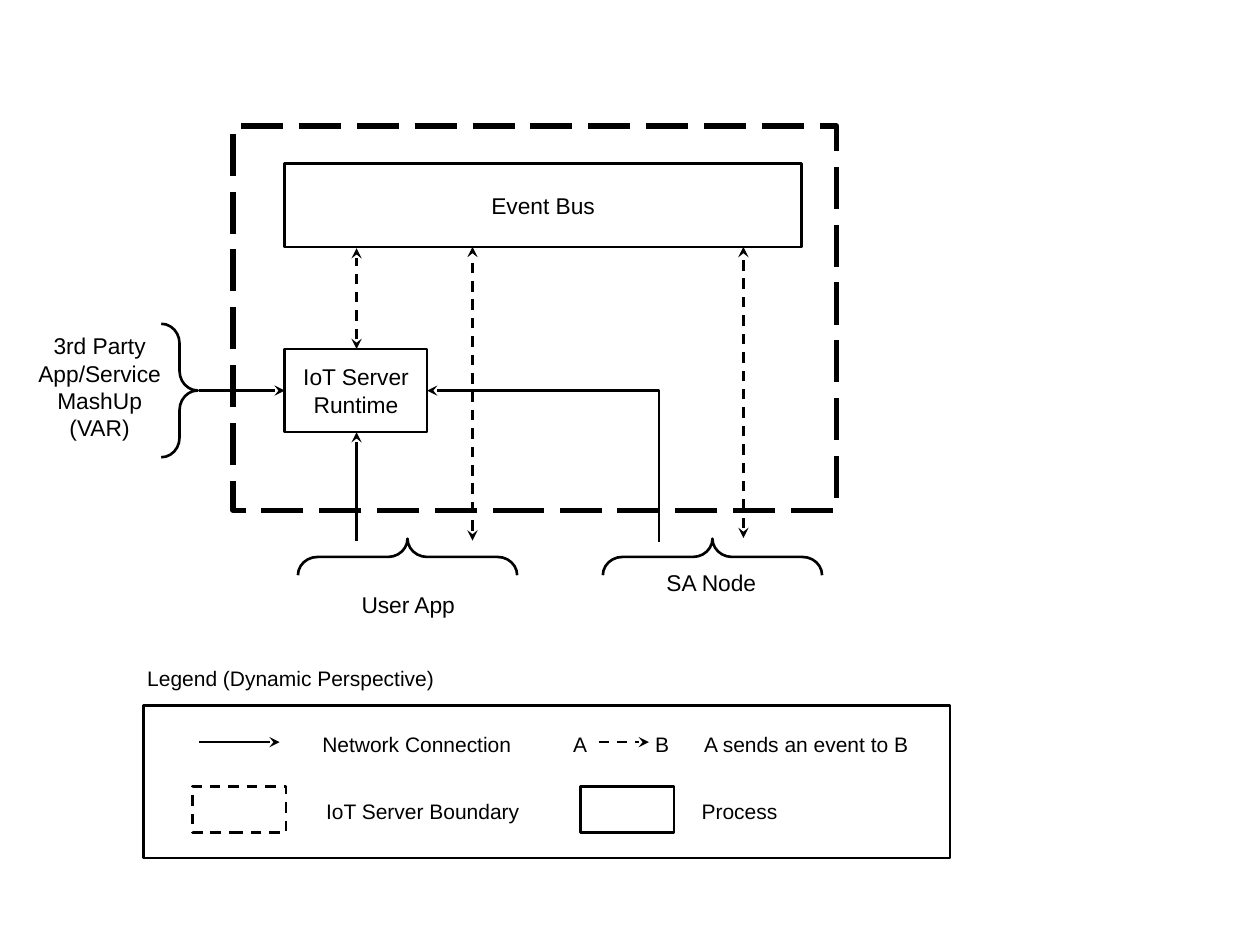
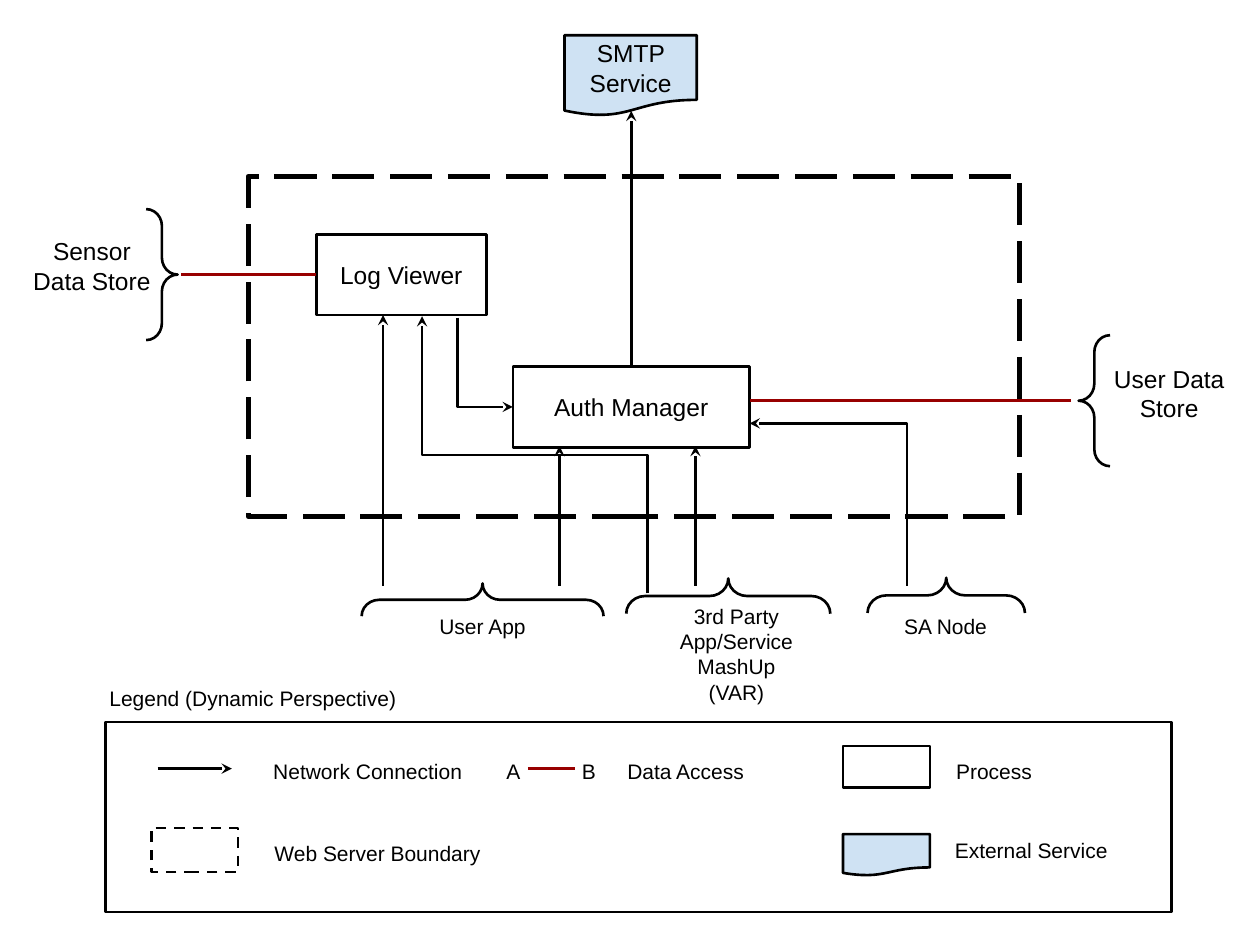
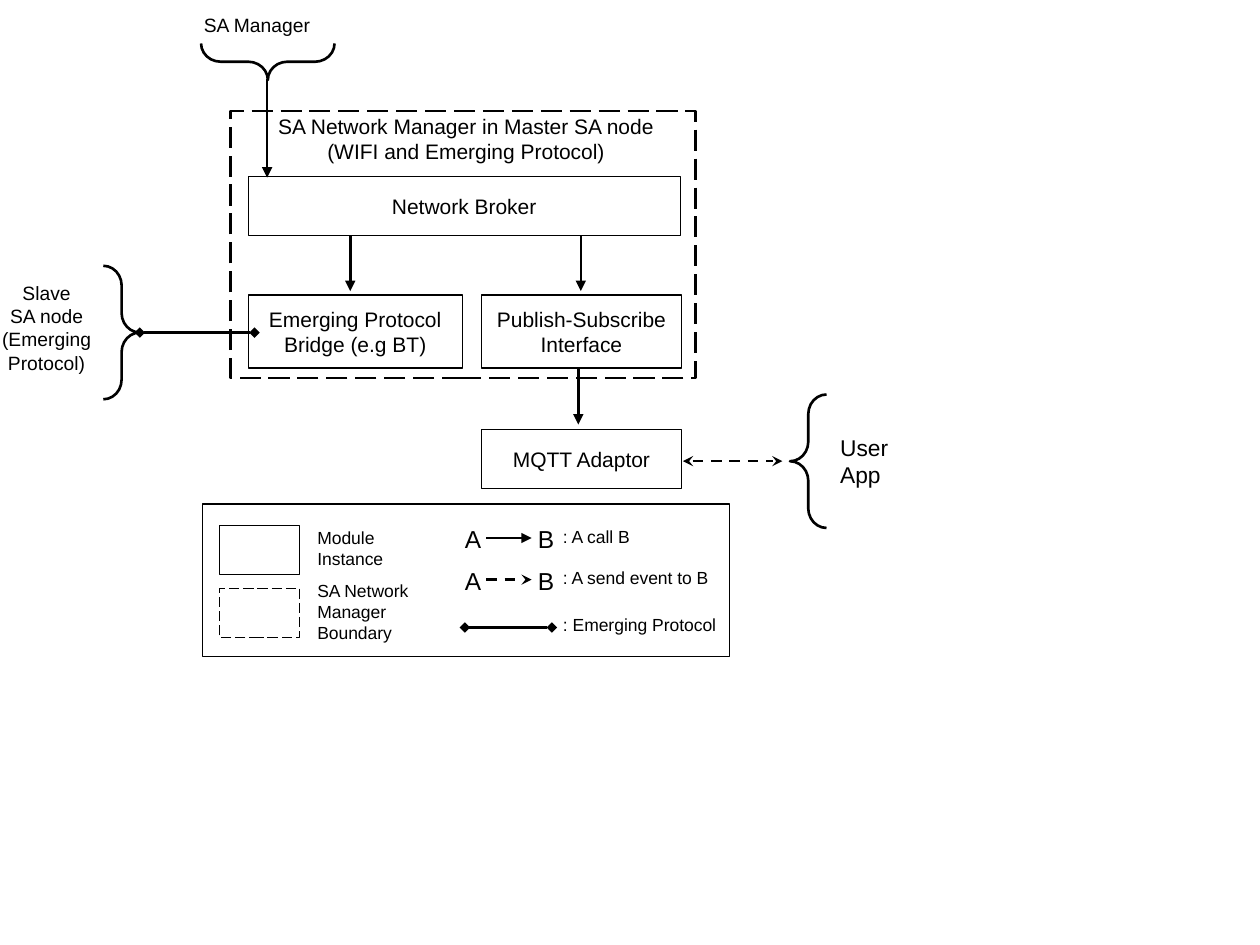
from lxml import etree
from pptx import Presentation
from pptx import util as u
from pptx.dml.color import RGBColor
from pptx.enum import dml, shapes, text
from pptx.oxml.ns import qn

BLACK = RGBColor(0x00, 0x00, 0x00)
WHITE = RGBColor(0xFF, 0xFF, 0xFF)
RED = RGBColor(0x98, 0x00, 0x00)
PALE_BLUE = RGBColor(0xCF, 0xE2, 0xF3)
FONT = "Arial"
DASH, LONG_DASH = dml.MSO_LINE.DASH, dml.MSO_LINE.LONG_DASH
LEFT, CENTER = text.PP_ALIGN.LEFT, text.PP_ALIGN.CENTER
RECTANGLE = shapes.MSO_SHAPE.RECTANGLE
DOCUMENT = shapes.MSO_SHAPE.FLOWCHART_DOCUMENT
RIGHT_BRACE = shapes.MSO_SHAPE.RIGHT_BRACE
FRAME_FORMAT = {"word_wrap": True, "margin_left": u.Inches(0.1), "margin_right": u.Inches(0.1),
                "margin_top": u.Inches(0.1), "margin_bottom": u.Inches(0.1)}

# Link styles: colour, dash, head at start, head at end
LINKS = {
    "network": (BLACK, None, None, "stealth"),
    "event": (BLACK, DASH, None, "stealth"),
    "events": (BLACK, DASH, "stealth", "stealth"),
    "data": (RED, None, None, None),
    "call": (BLACK, None, None, "triangle"),
    "protocol": (BLACK, None, "diamond", "diamond"),
}
# Box styles: preset, fill, line width, dash
BOXES = {
    "process": (RECTANGLE, WHITE, 1.5, None),
    "module": (RECTANGLE, WHITE, 0.75, None),
    "service": (DOCUMENT, PALE_BLUE, 1.5, None),
    "label": (RECTANGLE, WHITE, None, None),
    "server boundary": (RECTANGLE, None, 3, LONG_DASH),
    "manager boundary": (RECTANGLE, None, 1.5, LONG_DASH),
    "boundary key": (RECTANGLE, WHITE, 1.5, DASH),
    "manager key": (RECTANGLE, WHITE, 0.75, LONG_DASH),
    "legend": (RECTANGLE, None, 1.5, None),
    "thin legend": (RECTANGLE, None, 0.75, None),
}

# boxes: style, area, words, size, alignment
# braces: area before turning, rotation
# links: style, start, end; elbows: bends, start, end
# notes: words, area, size, alignment
THIRD_PARTY = "3rd Party App/Service MashUp\v(VAR)"
LEGEND = "Legend (Dynamic Perspective)"

IOT_SERVER = {
    "boxes": [
        ("legend", (1.14, 5.6, 6.4, 1.21)),
        ("server boundary", (1.85, 1, 4.79, 3.05)),
        ("label", (5.08, 4.29, 1.13, 0.66), "SA Node", 13),
        ("label", (2.26, 4.47, 1.96, 0.66), "User App", 13),
        ("label", (0.18, 2.58, 1.22, 0.98), THIRD_PARTY, 13),
        ("process", (2.26, 1.3, 4.1, 0.66), "Event Bus", 13),
        ("process", (2.26, 2.77, 1.13, 0.66), "IoT Server Runtime", 13),
        ("process", (4.61, 6.24, 0.74, 0.37)),
        ("boundary key", (1.53, 6.24, 0.74, 0.37)),
    ],
    "braces": [
        ((1.28, 2.57, 0.29, 1.06), 0),
        ((3.09, 3.55, 0.29, 1.74), 270),
        ((5.51, 3.55, 0.29, 1.74), 270),
    ],
    "links": [
        ("events", (5.9, 4.27), (5.9, 1.96)),
        ("events", (2.83, 2.77), (2.83, 1.97)),
        ("events", (3.75, 4.29), (3.75, 1.96)),
        ("network", (2.83, 4.29), (2.83, 3.43)),
        ("network", (1.58, 3.1), (2.26, 3.1)),
        ("network", (1.58, 5.89), (2.22, 5.89)),
        ("event", (4.75, 5.89), (5.15, 5.89)),
    ],
    "elbows": [(1, (5.23, 4.3), (3.39, 3.1))],
    "notes": [
        (LEGEND, (1.07, 5.18, 2.78, 0.29)),
        ("Network Connection", (2.46, 5.71, 1.99, 0.37)),
        ("A", (4.45, 5.71, 0.29, 0.37)),
        ("B", (5.1, 5.71, 0.29, 0.37)),
        ("A sends an event to B", (5.49, 5.71, 1.99, 0.37)),
        ("IoT Server Boundary", (2.49, 6.24, 1.99, 0.37)),
        ("Process", (5.47, 6.24, 2.08, 0.37)),
    ],
}

WEB_SERVER = {
    "boxes": [
        ("legend", (0.84, 5.73, 8.46, 1.51)),
        ("server boundary", (1.97, 1.4, 6.12, 2.7)),
        ("label", (2.66, 4.65, 2.34, 0.64), "User App", 12),
        ("label", (5.28, 4.81, 1.13, 0.76), THIRD_PARTY, 12),
        ("label", (6.98, 4.65, 1.05, 0.64), "SA Node", 12),
        ("label", (0.16, 1.79, 1.14, 0.64), "Sensor Data Store", 14),
        ("label", (8.71, 2.8, 1.14, 0.64), "User Data Store", 14),
        ("process", (4.07, 2.91, 1.88, 0.64), "Auth Manager", 14),
        ("process", (2.51, 1.86, 1.35, 0.64), "Log Viewer", 14),
        ("service", (4.48, 0.28, 1.05, 0.64), "SMTP Service", 14),
        ("process", (6.69, 5.92, 0.69, 0.33)),
        ("service", (6.69, 6.62, 0.69, 0.33)),
        ("boundary key", (1.2, 6.57, 0.69, 0.35)),
    ],
    "braces": [
        ((3.7, 3.8, 0.26, 1.92), 270),
        ((5.64, 3.92, 0.28, 1.62), 270),
        ((7.37, 4.1, 0.28, 1.25), 270),
        ((1.16, 1.66, 0.25, 1.04), 0),
        ((8.56, 2.66, 0.25, 1.04), 180),
    ],
    "links": [
        ("network", (4.44, 4.65), (4.44, 3.54)),
        ("network", (3.04, 4.65), (3.04, 2.5)),
        ("network", (5.52, 4.65), (5.52, 3.54)),
        ("network", (5.01, 2.91), (5.01, 0.88)),
        ("network", (1.25, 6.1), (1.84, 6.1)),
        ("data", (2.51, 2.18), (1.44, 2.18)),
        ("data", (8.5, 3.18), (5.95, 3.18)),
        ("data", (4.19, 6.1), (4.56, 6.1)),
    ],
    "elbows": [
        (1, (7.2, 4.65), (5.95, 3.36)),
        (2, (5.14, 4.71), (3.35, 2.51)),
        (1, (3.63, 2.52), (4.07, 3.23)),
    ],
    "notes": [
        (LEGEND, (0.77, 5.34, 2.58, 0.28)),
        ("Network Connection", (2.07, 5.92, 1.85, 0.35)),
        ("A", (3.92, 5.92, 0.27, 0.35)),
        ("B", (4.52, 5.92, 0.27, 0.35)),
        ("Data Access", (4.88, 5.92, 1.85, 0.35)),
        ("Process", (7.49, 5.92, 0.84, 0.35)),
        ("Web Server Boundary", (2.08, 6.57, 1.85, 0.35)),
        ("External Service", (7.48, 6.55, 1.47, 0.35)),
    ],
}

NETWORK_MANAGER = {
    "boxes": [
        ("thin legend", (1.61, 4, 4.18, 1.21)),
        ("manager boundary", (1.83, 0.88, 3.69, 2.12)),
        ("label", (-0.12, 2.14, 0.98, 0.92), "Slave\nSA node\n(Emerging Protocol)", 11),
        ("label", (6.57, 3.2, 0.64, 0.92), "User App", 13, LEFT),
        ("label", (1.52, 0.05, 1.2, 0.29), "SA Manager", 11, LEFT),
        ("module", (1.97, 1.4, 3.43, 0.47), "Network Broker", 12),
        ("module", (1.97, 2.34, 1.7, 0.58), "Emerging Protocol\nBridge (e.g BT)", 12),
        ("module", (3.82, 2.34, 1.59, 0.58), "Publish-Subscribe\nInterface", 12),
        ("module", (3.82, 3.41, 1.59, 0.47), "MQTT Adaptor", 12),
        ("module", (1.74, 4.17, 0.64, 0.39)),
        ("manager key", (1.74, 4.67, 0.64, 0.39)),
    ],
    "braces": [
        ((0.82, 2.11, 0.29, 1.06), 0),
        ((6.27, 3.13, 0.29, 1.06), 180),
        ((1.98, -0.04, 0.29, 1.06), 90),
    ],
    "links": [
        ("call", (2.12, 0.63), (2.12, 1.41)),
        ("call", (2.78, 1.87), (2.78, 2.31)),
        ("call", (4.61, 1.87), (4.61, 2.31)),
        ("call", (4.59, 2.93), (4.59, 3.37)),
        ("call", (3.86, 4.27), (4.22, 4.27)),
        ("event", (3.86, 4.6), (4.22, 4.6)),
        ("events", (5.42, 3.66), (6.21, 3.66)),
        ("protocol", (1.11, 2.64), (2.02, 2.64)),
        ("protocol", (3.69, 4.98), (4.38, 4.98)),
    ],
    "elbows": [],
    "notes": [
        ("SA Network Manager in Master SA node\n(WIFI and Emerging Protocol)",
         (1.87, 0.8, 3.66, 0.27), 12, CENTER),
        ("Module\nInstance", (2.42, 4.08, 0.74, 0.23), 10),
        ("SA Network Manager Boundary", (2.42, 4.5, 1.06, 0.23), 10),
        *[(letter, (left, top, 0.32, 0.27), 14)
          for top in (4.06, 4.39) for letter, left in (("A", 3.59), ("B", 4.17))],
        (": A call B", (4.37, 4.09, 1.54, 0.27), 10),
        (": A send event to B", (4.37, 4.42, 1.54, 0.27), 10),
        (": Emerging Protocol", (4.37, 4.79, 1.63, 0.23), 10),
    ],
}


def inches(values):
    return [u.Inches(value) for value in values]


def write(shape, words, size, alignment, anchor):
    frame = shape.text_frame
    for name, value in {**FRAME_FORMAT, "vertical_anchor": anchor}.items():
        setattr(frame, name, value)
    frame.text = words
    for paragraph in frame.paragraphs:
        paragraph.alignment = alignment
        for run in paragraph.runs:
            for name, value in {"name": FONT, "size": u.Pt(size)}.items():
                setattr(run.font, name, value)
            run.font.color.rgb = BLACK


def style_line(line, color, width, dash=None):
    line.color.rgb = color
    line.width = u.Pt(width)
    if dash:
        line.dash_style = dash


def add_box(slide, style, area, words="", size=12, alignment=CENTER):
    preset, fill, width, dash = BOXES[style]
    shape = slide.shapes.add_shape(preset, *inches(area))
    shape.shadow.inherit = False
    if fill is None:
        shape.fill.background()
    else:
        shape.fill.solid()
        shape.fill.fore_color.rgb = fill
    if width is None:
        shape.line.fill.background()
    else:
        style_line(shape.line, BLACK, width, dash)
    if words:
        write(shape, words, size, alignment, text.MSO_ANCHOR.MIDDLE)


def add_brace(slide, area, rotation):
    brace = slide.shapes.add_shape(RIGHT_BRACE, *inches(area))
    brace.shadow.inherit = False
    brace.fill.background()
    brace.rotation = rotation
    brace.adjustments[0] = 0.536
    style_line(brace.line, BLACK, 1.5)


def add_link(slide, style, start, end, kind=shapes.MSO_CONNECTOR.STRAIGHT):
    color, dash, head, tail = LINKS[style]
    connector = slide.shapes.add_connector(kind, *inches(start + end))
    style_line(connector.line, color, 1.5, dash)
    properties = connector._element.spPr
    outline = properties.find(qn("a:ln"))
    for tag, arrow in (("a:headEnd", head), ("a:tailEnd", tail)):
        if arrow:
            etree.SubElement(outline, qn(tag), type=arrow)
    etree.SubElement(properties, qn("a:effectLst"))
    return connector


def add_elbow(slide, bends, start, end):
    """Leave the start vertically: a mirrored elbow given a quarter turn."""
    (x1, y1), (x2, y2) = start, end
    middle_x, middle_y = (x1 + x2) / 2, (y1 + y2) / 2
    half_width, half_height = abs(y2 - y1) / 2, abs(x2 - x1) / 2
    connector = add_link(slide, "network",
                         (middle_x - half_width, middle_y - half_height),
                         (middle_x + half_width, middle_y + half_height),
                         shapes.MSO_CONNECTOR.ELBOW)
    properties = connector._element.spPr
    properties.find(qn("a:prstGeom")).set("prst", f"bentConnector{bends + 1}")
    transform = properties.find(qn("a:xfrm"))
    transform.set("rot", str((90 if y2 < y1 else 270) * 60000))
    transform.set("flipH", "1")


def add_note(slide, words, area, size=12, alignment=LEFT):
    box = slide.shapes.add_textbox(*inches(area))
    write(box, words, size, alignment, text.MSO_ANCHOR.TOP)


def main():
    presentation = Presentation()
    presentation.slide_width, presentation.slide_height = inches((10, 7.5))
    parts = {"boxes": add_box, "braces": add_brace, "links": add_link,
             "elbows": add_elbow, "notes": add_note}
    for diagram in (IOT_SERVER, WEB_SERVER, NETWORK_MANAGER):
        slide = presentation.slides.add_slide(presentation.slide_layouts[6])
        for part, add_part in parts.items():
            for item in diagram[part]:
                add_part(slide, *item)
    presentation.save("out.pptx")


if __name__ == "__main__":
    main()
